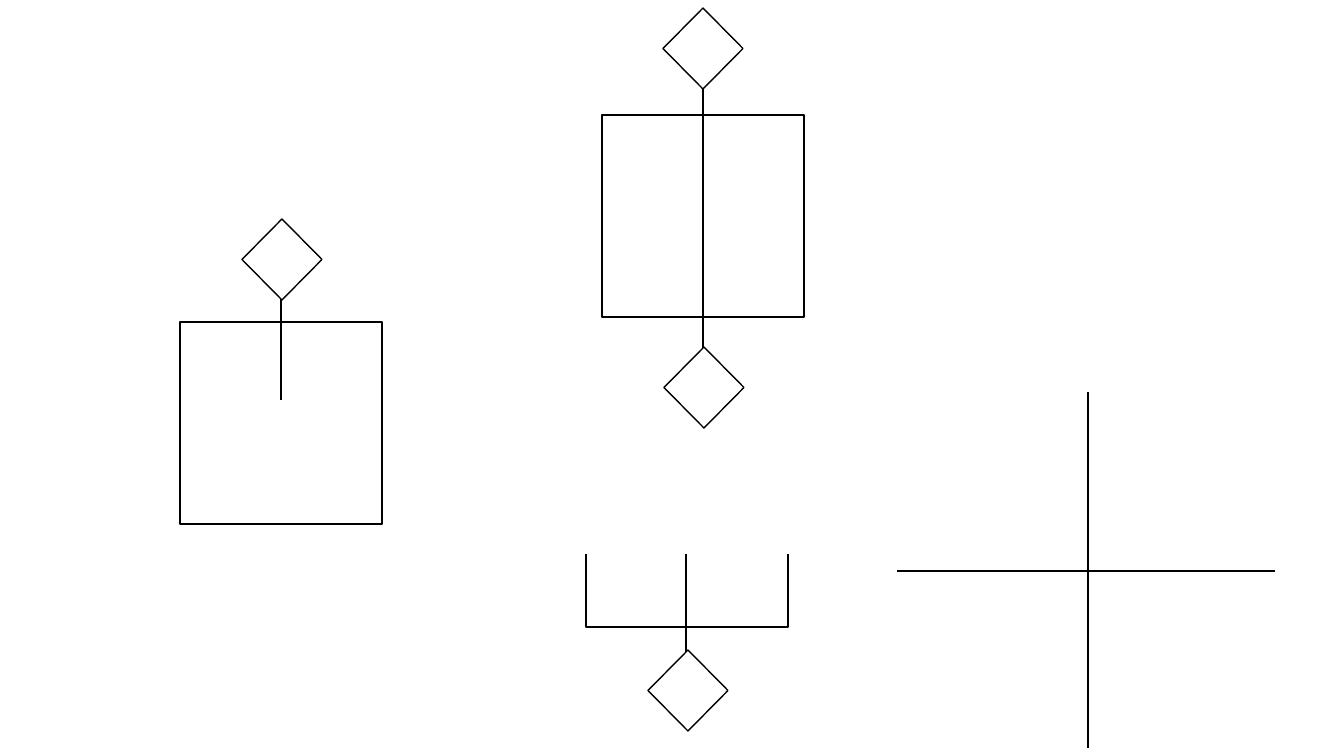
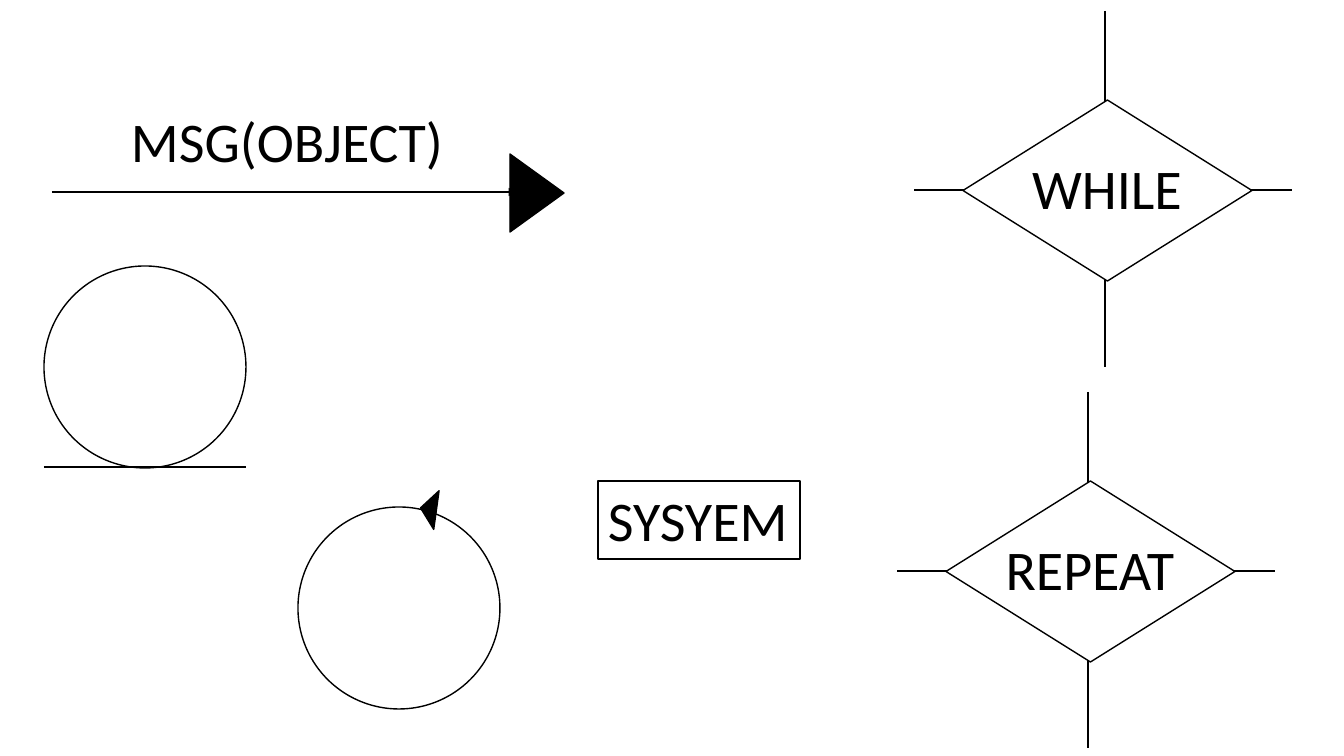
from dataclasses import dataclass
from typing import Optional, Union

from lxml import etree
from pptx import Presentation
from pptx.dml.color import RGBColor
from pptx.enum.shapes import MSO_CONNECTOR, MSO_SHAPE
from pptx.enum.text import MSO_ANCHOR, MSO_AUTO_SIZE, PP_ALIGN
from pptx.oxml.ns import qn
from pptx.util import Emu, Pt

STRAIGHT = MSO_CONNECTOR.STRAIGHT
RECT = MSO_SHAPE.RECTANGLE
DECISION = MSO_SHAPE.FLOWCHART_DECISION
TRIANGLE = MSO_SHAPE.ISOSCELES_TRIANGLE
OVAL = MSO_SHAPE.OVAL
CENTER = PP_ALIGN.CENTER
LEFT = PP_ALIGN.LEFT

EMU_PER_PIXEL = 914400 / 100.8
BLACK = "000000"
WHITE = "FFFFFF"
THIN = 1
THICK = 1.5
FRAME_FORMAT = {
    "word_wrap": True,
    "auto_size": MSO_AUTO_SIZE.SHAPE_TO_FIT_TEXT,
    "vertical_anchor": MSO_ANCHOR.TOP,
}
FONT_FORMAT = {"name": "Calibri", "size": Pt(40)}

SYMBOL = 202
GATE_WIDTH, GATE_HEIGHT = 80, 81
LABEL_HEIGHT = 78


@dataclass(frozen=True)
class Node:
    left: int
    top: int
    width: int
    height: int
    kind: MSO_SHAPE = RECT
    fill: Optional[str] = WHITE
    outline: Optional[str] = BLACK
    rotation: float = 0
    label: str = ""
    align: PP_ALIGN = CENTER


@dataclass(frozen=True)
class Stroke:
    x1: int
    y1: int
    x2: int
    y2: int
    weight: float = THIN
    arrow: bool = False


Part = Union[Node, Stroke]


def px(pixels: int) -> Emu:
    return Emu(round(pixels * EMU_PER_PIXEL))


def rgb(value: str) -> RGBColor:
    return RGBColor.from_string(value)


def apply(target, formats: dict) -> None:
    for name, value in formats.items():
        setattr(target, name, value)


def draw_label(shape, node: Node) -> None:
    frame = shape.text_frame
    apply(frame, FRAME_FORMAT)
    paragraph = frame.paragraphs[0]
    paragraph.alignment = node.align
    run = paragraph.add_run()
    run.text = node.label
    apply(run.font, FONT_FORMAT)
    run.font.color.rgb = rgb(BLACK)


def draw_node(slide, node: Node) -> None:
    place = [px(length) for length in (node.left, node.top, node.width, node.height)]
    if node.label and not node.fill:
        shape = slide.shapes.add_textbox(*place)
    else:
        shape = slide.shapes.add_shape(node.kind, *place)
        shape.shadow.inherit = False
        shape.rotation = node.rotation
        if node.fill:
            shape.fill.solid()
            shape.fill.fore_color.rgb = rgb(node.fill)
        else:
            shape.fill.background()
        if node.outline:
            shape.line.color.rgb = rgb(node.outline)
            shape.line.width = Pt(THIN)
        else:
            shape.line.fill.background()
    if node.label:
        draw_label(shape, node)


def draw_stroke(slide, stroke: Stroke) -> None:
    ends = [px(length) for length in (stroke.x1, stroke.y1, stroke.x2, stroke.y2)]
    connector = slide.shapes.add_connector(STRAIGHT, *ends)
    connector.line.color.rgb = rgb(BLACK)
    connector.line.width = Pt(stroke.weight)
    properties = connector._element.spPr
    if stroke.arrow:
        etree.SubElement(properties.find(qn("a:ln")), qn("a:tailEnd"), type="triangle")
    etree.SubElement(properties, qn("a:effectLst"))


def draw_part(slide, part: Part) -> None:
    if isinstance(part, Node):
        draw_node(slide, part)
    else:
        draw_stroke(slide, part)


def gate(left: int, top: int) -> Node:
    return Node(left, top, GATE_WIDTH, GATE_HEIGHT, DECISION)


def frame_box(left: int, top: int) -> Node:
    return Node(left, top, SYMBOL, SYMBOL, fill=None)


def circle(left: int, top: int) -> Node:
    return Node(left, top, SYMBOL, SYMBOL, OVAL)


def cross(left: int, top: int) -> list[Part]:
    return [
        Stroke(left + 191, top, left + 191, top + 356),
        Stroke(left + 378, top + 179, left, top + 179),
    ]


def loop(left: int, top: int, label: str) -> list[Part]:
    return cross(left, top) + [
        Node(left + 49, top + 89, 289, 181, DECISION),
        Node(left + 77, top + 138, 232, LABEL_HEIGHT, fill=None, label=label),
    ]


GATED_BOXES: list[Part] = [
    Stroke(281, 244, 281, 400, THICK),
    frame_box(180, 322),
    *cross(897, 392),
    gate(242, 219),
    Stroke(686, 696, 686, 539, THICK),
    frame_box(586, 425),
    Node(555, 352, 257, SYMBOL, outline=None),
    Stroke(703, 385, 703, 53, THICK),
    frame_box(602, 115),
    gate(663, 8),
    gate(664, 347),
    gate(648, 650),
]

LOOPS_AND_MESSAGES: list[Part] = [
    *loop(897, 392, "REPEAT"),
    *loop(914, 11, "WHILE"),
    Node(598, 481, SYMBOL, LABEL_HEIGHT, label="SYSYEM", align=LEFT),
    Stroke(52, 192, 517, 192, THICK, arrow=True),
    Node(104, 102, 366, LABEL_HEIGHT, outline=None, label="MSG(OBJECT)"),
    Node(498, 166, 78, 54, TRIANGLE, fill=BLACK, rotation=90),
    circle(44, 266),
    Stroke(44, 467, 44 + SYMBOL, 467, THICK),
    circle(298, 507),
    Node(409, 501, 39, 16, TRIANGLE, fill=BLACK, rotation=277.9),
]


def main() -> None:
    deck = Presentation()
    deck.slide_width = px(1344)
    deck.slide_height = px(756)
    blank = deck.slide_layouts[6]
    for parts in (GATED_BOXES, LOOPS_AND_MESSAGES):
        slide = deck.slides.add_slide(blank)
        for part in parts:
            draw_part(slide, part)
    deck.save("out.pptx")


main()
